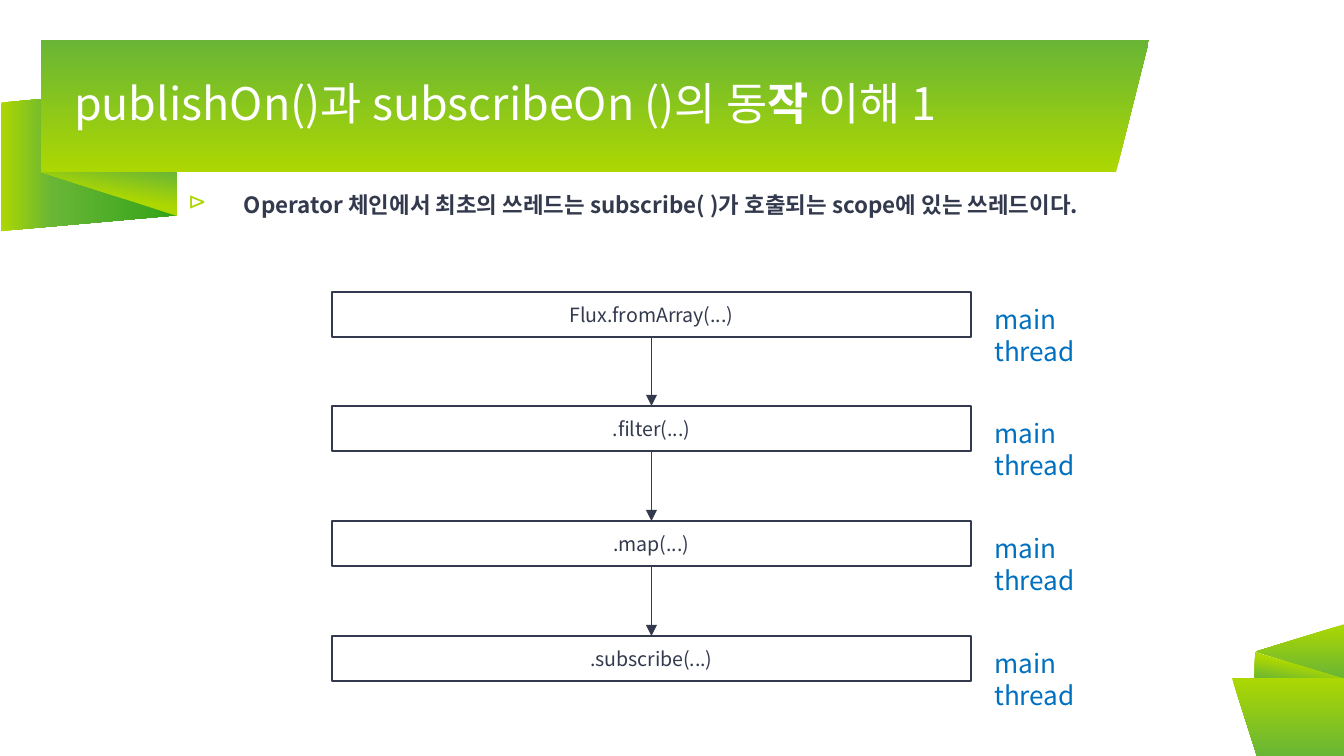
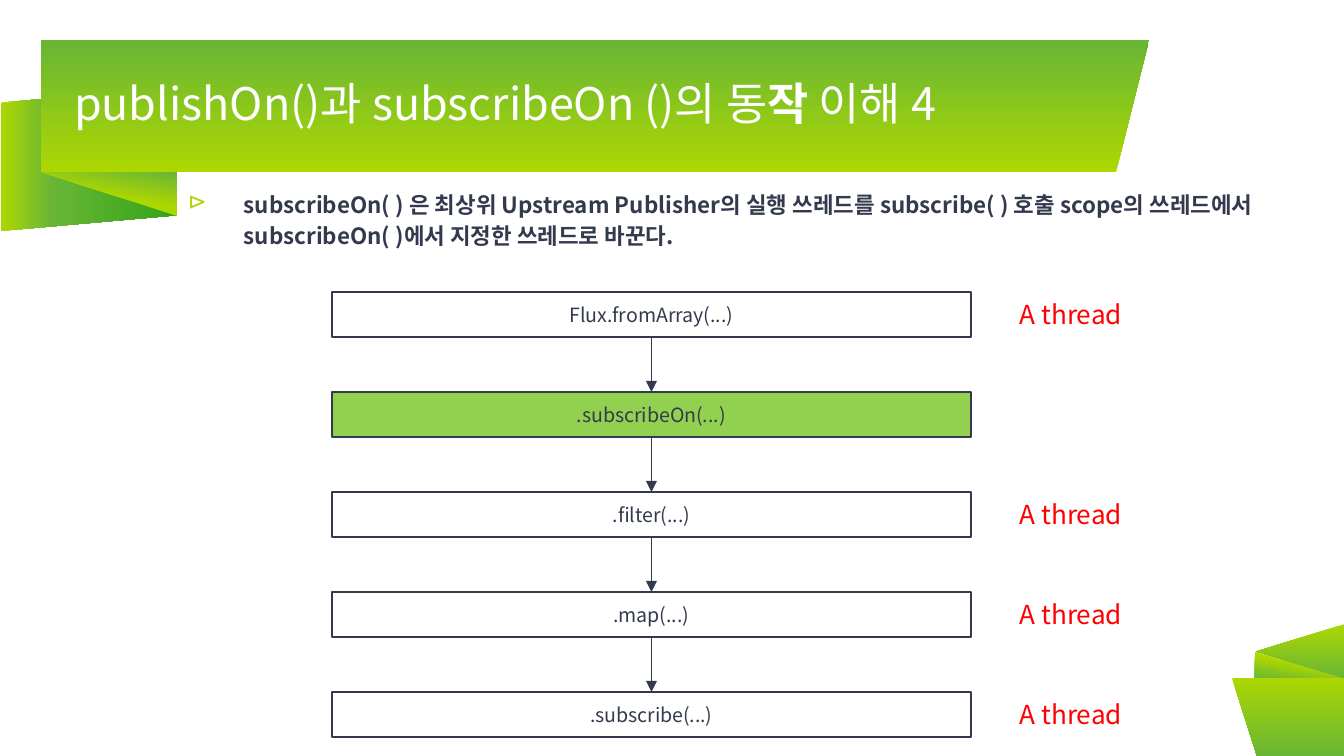
from dataclasses import dataclass
from itertools import pairwise
from typing import Optional

from lxml.etree import SubElement
from pptx import Presentation
from pptx.dml.color import RGBColor
from pptx.enum.shapes import MSO_CONNECTOR, MSO_SHAPE
from pptx.enum.text import MSO_ANCHOR, MSO_AUTO_SIZE, PP_ALIGN
from pptx.oxml import parse_xml
from pptx.oxml.ns import nsdecls, qn
from pptx.presentation import Presentation as Deck
from pptx.shapes.autoshape import Shape
from pptx.slide import Slide
from pptx.text.text import Font
from pptx.util import Emu, Pt

SLIDE_WIDTH, SLIDE_HEIGHT = 1344, 756
EMU_PER_PX = 9144000 / SLIDE_WIDTH


@dataclass(frozen=True)
class Theme:
    font: str = "Noto Sans CJK KR"
    ink: str = "343A4E"
    white: str = "FFFFFF"
    lime: str = "ACD701"
    leaf: str = "69B636"
    forest: str = "32A318"
    highlight: str = "92D050"
    main_thread: str = "0070C0"
    a_thread: str = "FF0000"
    title_size: float = 24
    body_size: float = 12
    step_size: float = 10.5
    label_size: float = 14
    line_width: float = 0.75


THEME = Theme()
RIBBON = ((0, THEME.lime), (100, THEME.leaf))
FOLD = ((0, THEME.lime), (47, THEME.lime), (100, THEME.leaf))
TAIL = ((0, THEME.lime), (29, THEME.leaf), (100, THEME.forest))


@dataclass(frozen=True)
class Box:
    left: int
    top: int
    width: int
    height: int

    def emu(self) -> tuple[Emu, ...]:
        return tuple(px(n) for n in (self.left, self.top, self.width, self.height))


@dataclass(frozen=True)
class RibbonPart:
    kind: MSO_SHAPE
    box: Box
    stops: tuple[tuple[int, str], ...]
    angle: int
    rotation: int = 0
    flipped: bool = False
    adjustment: Optional[float] = None


@dataclass(frozen=True)
class LabelStyle:
    left: int
    offset: int
    width: int
    color: str
    align: PP_ALIGN
    wrap: bool


@dataclass(frozen=True)
class Step:
    text: str
    label: str = ""
    fill: Optional[str] = None


@dataclass(frozen=True)
class FlowSlide:
    number: int
    message: str
    message_height: int
    last_top: int
    label_style: LabelStyle
    steps: tuple[Step, ...]


RIBBON_PARTS = (
    RibbonPart(MSO_SHAPE.PARALLELOGRAM, Box(17, 71, 144, 176), TAIL, 90, 270, True, 0.109),
    RibbonPart(MSO_SHAPE.RIGHT_TRIANGLE, Box(41, 172, 136, 44), FOLD, 100, 180),
    RibbonPart(MSO_SHAPE.RECTANGLE, Box(41, 40, 1075, 132), RIBBON, 90, 180, True),
    RibbonPart(MSO_SHAPE.ISOSCELES_TRIANGLE, Box(1116, 40, 33, 132), RIBBON, 90, 180, False, 1),
    RibbonPart(MSO_SHAPE.ISOSCELES_TRIANGLE, Box(1273, 607, 55, 89), RIBBON, 180, 270, False, 0.5),
    RibbonPart(MSO_SHAPE.RIGHT_TRIANGLE, Box(1255, 652, 89, 27), FOLD, 100),
    RibbonPart(MSO_SHAPE.RECTANGLE, Box(1257, 678, 87, 78), RIBBON, 270, 180),
    RibbonPart(MSO_SHAPE.ISOSCELES_TRIANGLE, Box(1232, 678, 25, 78), RIBBON, 270, 180, True, 1),
)

TITLE_BOX = Box(74, 40, 1062, 132)
MESSAGE_LEFT, MESSAGE_TOP, MESSAGE_WIDTH = 177, 187, 1097
MESSAGE_INDENT, BULLET_INDENT = 67, -56
STEP_LEFT, STEP_WIDTH, STEP_HEIGHT = 332, 639, 45
FIRST_TOP = 292

MAIN_LABEL = LabelStyle(981, 5, 173, THEME.main_thread, PP_ALIGN.LEFT, True)
A_LABEL = LabelStyle(1000, 0, 136, THEME.a_thread, PP_ALIGN.CENTER, False)

FLOW_SLIDES = (
    FlowSlide(
        1,
        "Operator 체인에서 최초의 쓰레드는 subscribe( )가 호출되는 scope에 있는 쓰레드이다.",
        55,
        636,
        MAIN_LABEL,
        (
            Step("Flux.fromArray(...)", "main thread"),
            Step(".filter(...)", "main thread"),
            Step(".map(...)", "main thread"),
            Step(".subscribe(...)", "main thread"),
        ),
    ),
    FlowSlide(
        4,
        "subscribeOn( ) 은 최상위 Upstream Publisher의 실행 쓰레드를 subscribe( ) 호출 "
        "scope의 쓰레드에서 subscribeOn( )에서 지정한 쓰레드로 바꾼다.",
        79,
        692,
        A_LABEL,
        (
            Step("Flux.fromArray(...)", " A thread"),
            Step(".subscribeOn(...)", fill=THEME.highlight),
            Step(".filter(...)", " A thread"),
            Step(".map(...)", " A thread"),
            Step(".subscribe(...)", " A thread"),
        ),
    ),
)


def px(length: int) -> Emu:
    return Emu(round(length * EMU_PER_PX))


def style_font(font: Font, size: float, color: str, bold: bool = False) -> None:
    font.size = Pt(size)
    font.name = THEME.font
    font.bold = bold
    font.color.rgb = RGBColor.from_string(color)


def add_text_box(slide: Slide, box: Box, wrap: bool = True, inset: bool = True) -> Shape:
    shape = slide.shapes.add_textbox(*box.emu())
    frame = shape.text_frame
    frame.word_wrap = wrap
    if not inset:
        frame.margin_left = frame.margin_top = frame.margin_right = frame.margin_bottom = 0
    return shape


def add_ribbon_part(slide: Slide, part: RibbonPart) -> None:
    shape = slide.shapes.add_shape(part.kind, *part.box.emu())
    shape.shadow.inherit = False
    shape.line.fill.background()
    shape.rotation = part.rotation
    if part.adjustment is not None:
        shape.adjustments[0] = part.adjustment
    properties = shape._element.spPr
    if part.flipped:
        properties.find(qn("a:xfrm")).set("flipH", "1")
    stops = "".join(
        f'<a:gs pos="{position * 1000}"><a:srgbClr val="{color}"/></a:gs>'
        for position, color in part.stops
    )
    gradient = parse_xml(
        f'<a:gradFill {nsdecls("a")} rotWithShape="1"><a:gsLst>{stops}</a:gsLst>'
        f'<a:lin ang="{part.angle * 60000}" scaled="0"/></a:gradFill>'
    )
    properties.find(qn("a:prstGeom")).addnext(gradient)


def add_title(slide: Slide, number: int) -> None:
    frame = add_text_box(slide, TITLE_BOX, inset=False).text_frame
    frame.vertical_anchor = MSO_ANCHOR.MIDDLE
    paragraph = frame.paragraphs[0]
    paragraph.line_spacing = 0.9
    pieces = (
        ("publishOn()과 subscribeOn ()의 동", False),
        ("작", True),
        (f" 이해 {number}", False),
    )
    for text, bold in pieces:
        run = paragraph.add_run()
        run.text = text
        style_font(run.font, THEME.title_size, THEME.white, bold)
        effects = parse_xml(
            f'<a:effectLst {nsdecls("a")}><a:outerShdw blurRad="38100" dist="38100" dir="2700000">'
            '<a:srgbClr val="000000"><a:alpha val="43000"/></a:srgbClr>'
            "</a:outerShdw></a:effectLst>"
        )
        run._r.rPr.find(qn("a:solidFill")).addnext(effects)


def add_message(slide: Slide, text: str, height: int) -> None:
    box = Box(MESSAGE_LEFT, MESSAGE_TOP, MESSAGE_WIDTH, height)
    paragraph = add_text_box(slide, box, inset=False).text_frame.paragraphs[0]
    paragraph.text = text
    paragraph.line_spacing = 1.15
    paragraph.space_before = Pt(6)
    style_font(paragraph.font, THEME.body_size, THEME.ink, True)
    properties = paragraph._p.pPr
    properties.set("marL", str(px(MESSAGE_INDENT)))
    properties.set("indent", str(px(BULLET_INDENT)))
    defaults = properties.find(qn("a:defRPr"))
    defaults.addprevious(
        parse_xml(f'<a:buClr {nsdecls("a")}><a:srgbClr val="{THEME.lime}"/></a:buClr>')
    )
    defaults.addprevious(parse_xml(f'<a:buChar {nsdecls("a")} char="⊳"/>'))


def add_step(slide: Slide, step: Step, top: int) -> Shape:
    box = Box(STEP_LEFT, top, STEP_WIDTH, STEP_HEIGHT)
    shape = slide.shapes.add_shape(MSO_SHAPE.RECTANGLE, *box.emu())
    shape.shadow.inherit = False
    if step.fill:
        shape.fill.solid()
        shape.fill.fore_color.rgb = RGBColor.from_string(step.fill)
    else:
        shape.fill.background()
    shape.line.color.rgb = RGBColor.from_string(THEME.ink)
    shape.line.width = Pt(THEME.line_width)
    shape.text_frame.vertical_anchor = MSO_ANCHOR.MIDDLE
    paragraph = shape.text_frame.paragraphs[0]
    paragraph.text = step.text
    paragraph.alignment = PP_ALIGN.CENTER
    style_font(paragraph.font, THEME.step_size, THEME.ink)
    return shape


def add_arrow(slide: Slide, upper: Shape, lower: Shape) -> None:
    connector = slide.shapes.add_connector(MSO_CONNECTOR.STRAIGHT, 0, 0, 0, 0)
    connector.begin_connect(upper, 2)
    connector.end_connect(lower, 0)
    connector.line.color.rgb = RGBColor.from_string(THEME.ink)
    connector.line.width = Pt(THEME.line_width)
    SubElement(connector.line._get_or_add_ln(), qn("a:tailEnd"), type="triangle")
    SubElement(connector._element.spPr, qn("a:effectLst"))


def add_label(slide: Slide, text: str, style: LabelStyle, step_top: int) -> None:
    box = Box(style.left, step_top + style.offset, style.width, STEP_HEIGHT)
    frame = add_text_box(slide, box, style.wrap).text_frame
    frame.auto_size = MSO_AUTO_SIZE.SHAPE_TO_FIT_TEXT
    paragraph = frame.paragraphs[0]
    paragraph.text = text
    paragraph.alignment = style.align
    style_font(paragraph.font, THEME.label_size, style.color)


def add_flow_slide(presentation: Deck, content: FlowSlide) -> None:
    slide = presentation.slides.add_slide(presentation.slide_layouts[6])
    for part in RIBBON_PARTS:
        add_ribbon_part(slide, part)
    add_title(slide, content.number)
    add_message(slide, content.message, content.message_height)
    gaps = len(content.steps) - 1
    tops = [FIRST_TOP + i * (content.last_top - FIRST_TOP) // gaps for i in range(gaps + 1)]
    shapes = [add_step(slide, step, top) for step, top in zip(content.steps, tops)]
    for upper, lower in pairwise(shapes):
        add_arrow(slide, upper, lower)
    for step, top in zip(content.steps, tops):
        if step.label:
            add_label(slide, step.label, content.label_style, top)


def main() -> None:
    presentation = Presentation()
    presentation.slide_width = px(SLIDE_WIDTH)
    presentation.slide_height = px(SLIDE_HEIGHT)
    for content in FLOW_SLIDES:
        add_flow_slide(presentation, content)
    presentation.save("out.pptx")


if __name__ == "__main__":
    main()
